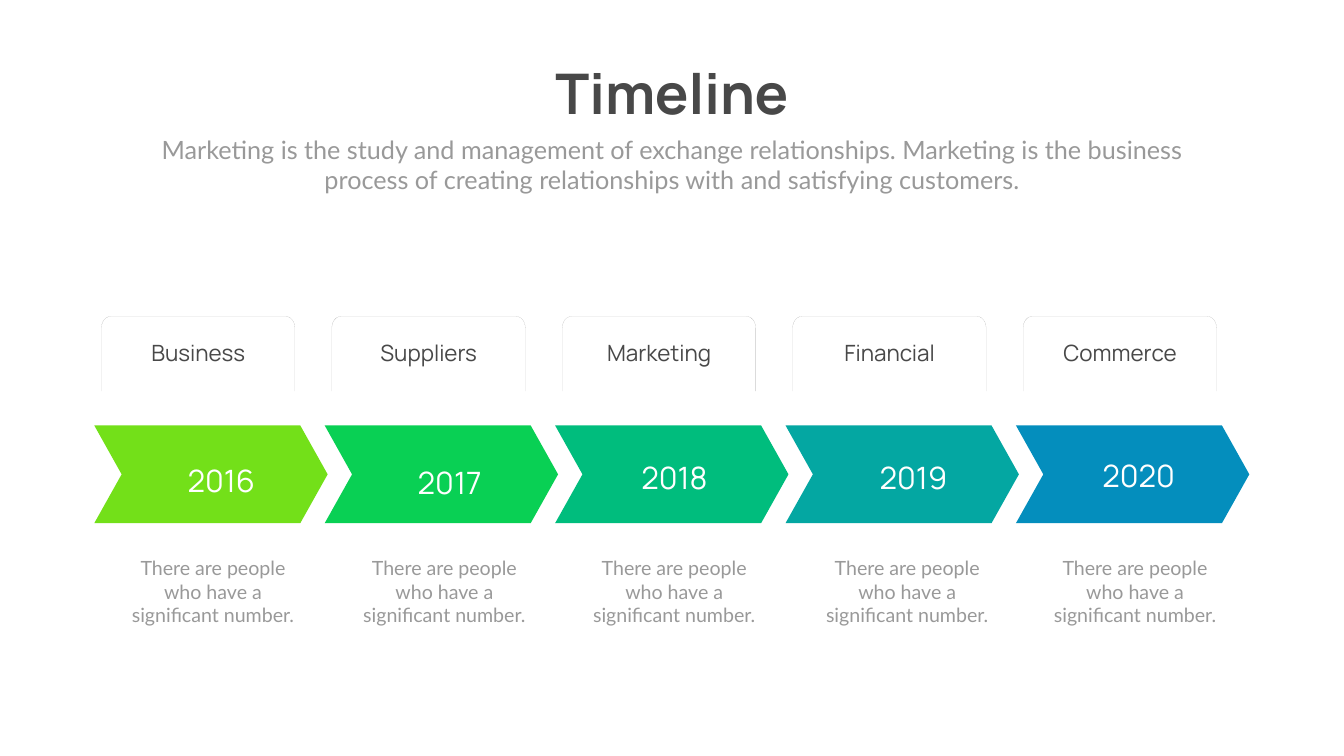
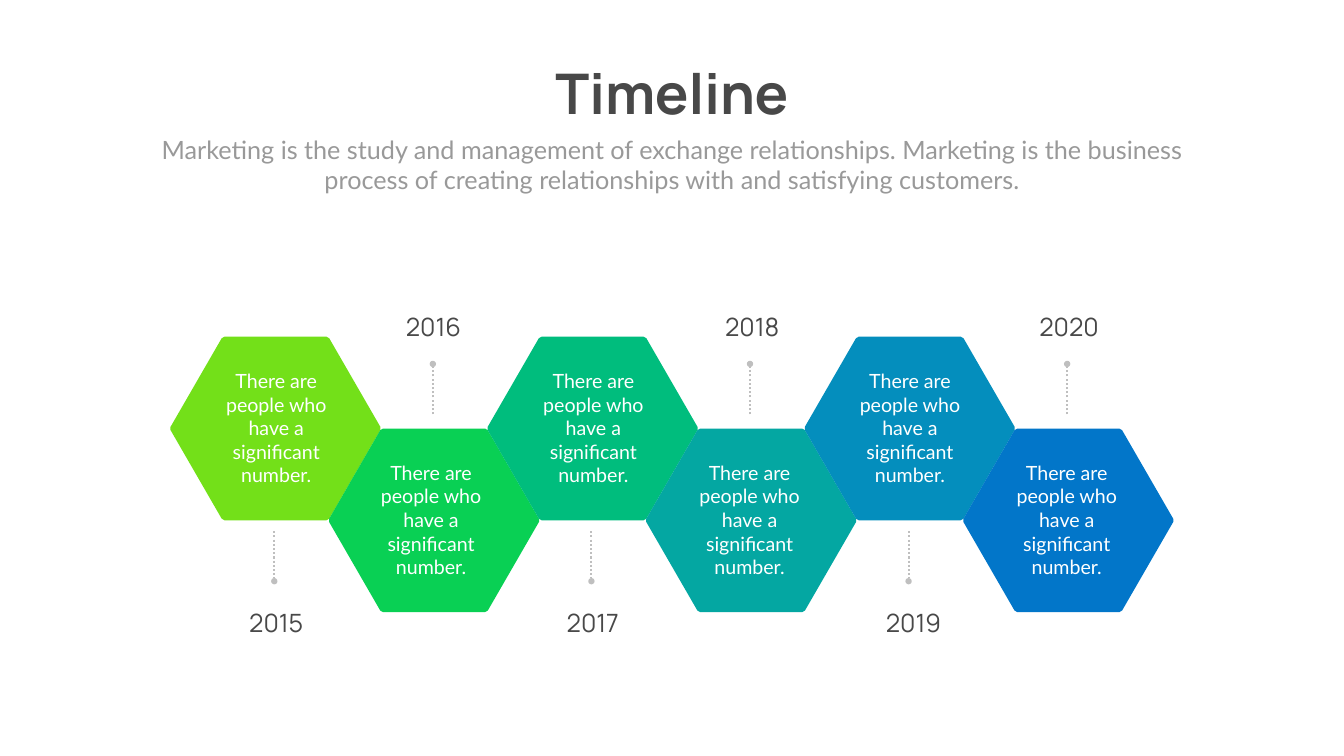
from math import cos, pi, sin

from lxml import etree
from pptx import Presentation
from pptx.dml.color import RGBColor
from pptx.enum.dml import MSO_LINE
from pptx.enum.shapes import MSO_CONNECTOR, MSO_SHAPE
from pptx.enum.text import MSO_AUTO_SIZE, PP_ALIGN
from pptx.oxml.ns import qn
from pptx.util import Cm, Pt

CHEVRON = MSO_SHAPE.CHEVRON
STRAIGHT = MSO_CONNECTOR.STRAIGHT
DOTS = MSO_LINE.ROUND_DOT
CENTER = PP_ALIGN.CENTER
GROW = MSO_AUTO_SIZE.SHAPE_TO_FIT_TEXT

HEAD, BODY = "Manrope", "Lato"
DARK, GREY, PALE, WHITE = "484848", "999999", "BFBFBF", "FFFFFF"
LIME, GREEN, MINT, TEAL, SKY, BLUE = (
    "73E019", "09D054", "00BD7D", "04A7A2", "048EBD", "0276C9")
INTRO = ("Marketing is the study and management of exchange relationships. "
         "Marketing is the business process of creating relationships with "
         "and satisfying customers.")
NOTE = "There are people who have a significant number."


def write(slide, words, box, size, face, color, bold=False, wrap=True):
    """Add a centred text box; box is left, top, width, height in cm."""
    shape = slide.shapes.add_textbox(*[Cm(n) for n in box])
    frame = shape.text_frame
    frame.word_wrap = wrap
    frame.auto_size = GROW
    frame.text = words
    para = frame.paragraphs[0]
    para.alignment = CENTER
    font = para.runs[0].font
    font.size, font.name, font.bold = Pt(size), face, bold
    font.color.rgb = RGBColor.from_string(color)


def paint(shape, color):
    """Give a shape a flat fill, with no line and no shadow."""
    shape.shadow.inherit = False
    shape.fill.solid()
    shape.fill.fore_color.rgb = RGBColor.from_string(color)
    shape.line.fill.background()


deck = Presentation()
deck.slide_width, deck.slide_height = Cm(67.72), Cm(38.1)
blank = deck.slide_layouts[6]
arrows, combs = [deck.slides.add_slide(blank) for _ in range(2)]
for slide in (arrows, combs):
    write(slide, "Timeline", (27.28, 2.84, 13.16, 3.68), 80, HEAD, DARK,
          bold=True, wrap=False)
    write(slide, INTRO, (7.42, 6.63, 52.88, 3.33), 36, BODY, GREY)

# Slide 1: arrows with a tab above and a note below
# label, year, colour, left and top of the year, left of the note
steps = [
    ("Business", "2016", LIME, 5.72, 23.14, 6.07),
    ("Suppliers", "2017", GREEN, 17.22, 23.24, 17.73),
    ("Marketing", "2018", MINT, 28.55, 22.99, 29.31),
    ("Financial", "2019", TEAL, 40.59, 22.99, 41.05),
    ("Commerce", "2020", SKY, 51.94, 22.91, 52.53),
]
STEP = 11.61
TAB_TOP, TAB_W, TAB_H = 15.95, 9.75, 3.76
RX, RY = 0.45, 0.58
turns = [pi / 2 * n / 6 for n in range(7)]

for i, (label, year, color, year_x, year_y, note_x) in enumerate(steps):
    shift = i * STEP
    arrow = arrows.shapes.add_shape(
        CHEVRON, Cm(4.75 + shift), Cm(21.44), Cm(11.76), Cm(4.93))
    arrow.adjustments[0] = 0.28
    paint(arrow, color)

    left = 5.11 + shift
    right, base = left + TAB_W, TAB_TOP + TAB_H
    edge = [(right - RX + RX * cos(t), TAB_TOP + RY - RY * sin(t))
            for t in turns]
    edge += [(left + right - x, y) for x, y in reversed(edge)]
    edge.append((left, base))
    pen = arrows.shapes.build_freeform(Cm(right), Cm(base))
    pen.add_line_segments([(Cm(x), Cm(y)) for x, y in edge], close=False)
    tab = pen.convert_to_shape()
    tab.shadow.inherit = False
    tab.fill.background()
    tab.line.color.rgb = RGBColor.from_string(GREY)
    tab.line.width = Pt(0.06)

    write(arrows, year, (year_x, year_y, 10.87, 2.13), 44, HEAD, WHITE)
    write(arrows, NOTE, (note_x, 27.91, 9.32, 3.84), 28, BODY, GREY)
    write(arrows, label, (5.74 + shift, 16.99, 8.51, 1.63), 32, HEAD, DARK)

# Slide 2: hexagons that alternate between a high and a low row
# year, colour, left of the year, left of the note
cells = [
    ("2015", LIME, 9.17, 10.26),
    ("2016", GREEN, 17.09, 18.06),
    ("2017", MINT, 25.12, 26.24),
    ("2018", TEAL, 33.15, 34.11),
    ("2019", SKY, 41.28, 42.19),
    ("2020", BLUE, 49.12, 50.09),
]
HEX_W, HEX_H = 10.62, 9.25
half = [(2.74, 0), (2.6, 0.08), (0.02, 4.55),
        (0.02, 4.7), (2.6, 9.17), (2.74, 9.25)]
ring = half + [(HEX_W - x, HEX_H - y) for x, y in half]

for i, (year, color, year_x, note_x) in enumerate(cells):
    left = 8.57 + i * 7.99
    if i % 2:
        top, start, end, year_y = 21.6, 20.88, 18.34, 15.54
    else:
        top, start, end, year_y = 16.97, 26.77, 29.29, 30.48
    spots = [(Cm(left + x), Cm(top + y)) for x, y in ring]
    pen = combs.shapes.build_freeform(*spots[0])
    pen.add_line_segments(spots[1:])
    paint(pen.convert_to_shape(), color)

    mid = Cm(left + 5.25)
    wire = combs.shapes.add_connector(STRAIGHT, mid, Cm(start), mid, Cm(end))
    wire.line.color.rgb = RGBColor.from_string(PALE)
    wire.line.width = Pt(3)
    wire.line.dash_style = DOTS
    etree.SubElement(wire.get_or_add_ln(), qn("a:tailEnd"), type="oval")
    etree.SubElement(wire._element.spPr, qn("a:effectLst"))

    write(combs, year, (year_x, year_y, 9.5, 1.8), 36, HEAD, DARK)
    write(combs, NOTE, (note_x, top + 1.5, 7.32, 6.25), 28, BODY, WHITE)

deck.save("out.pptx")
